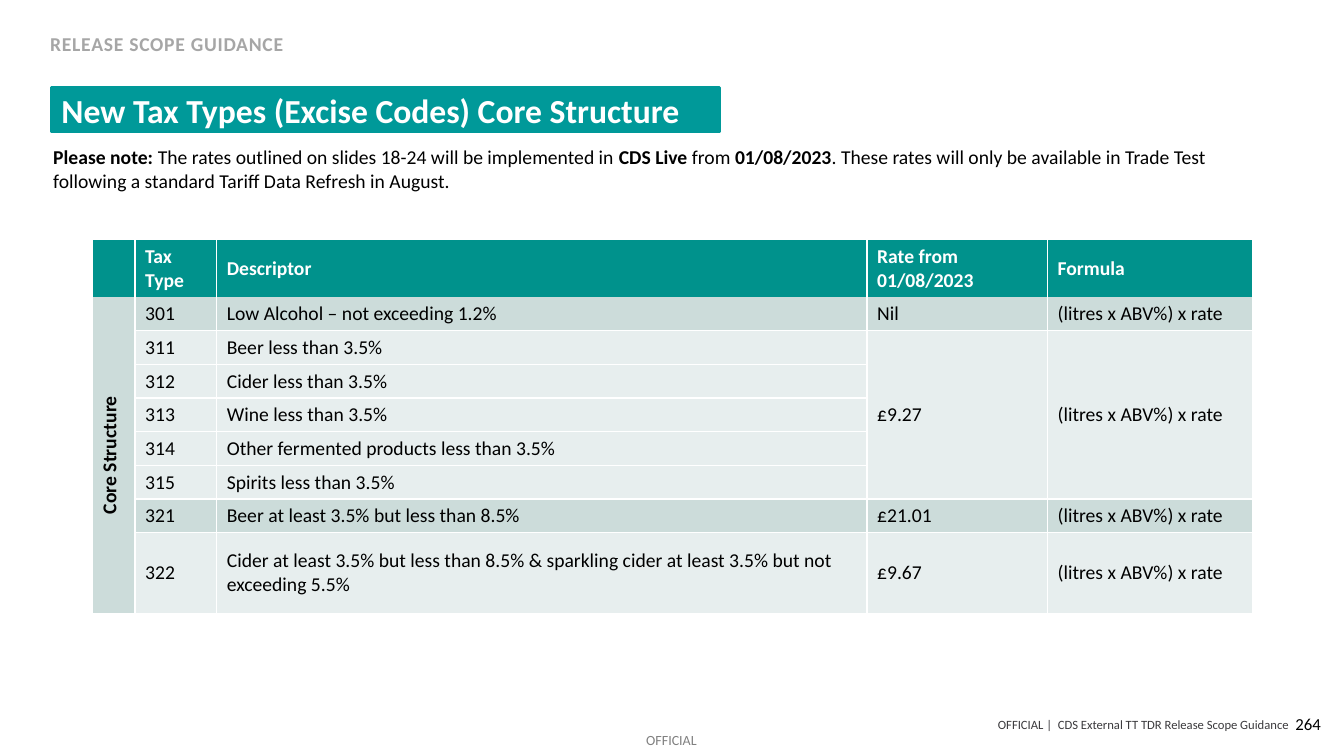
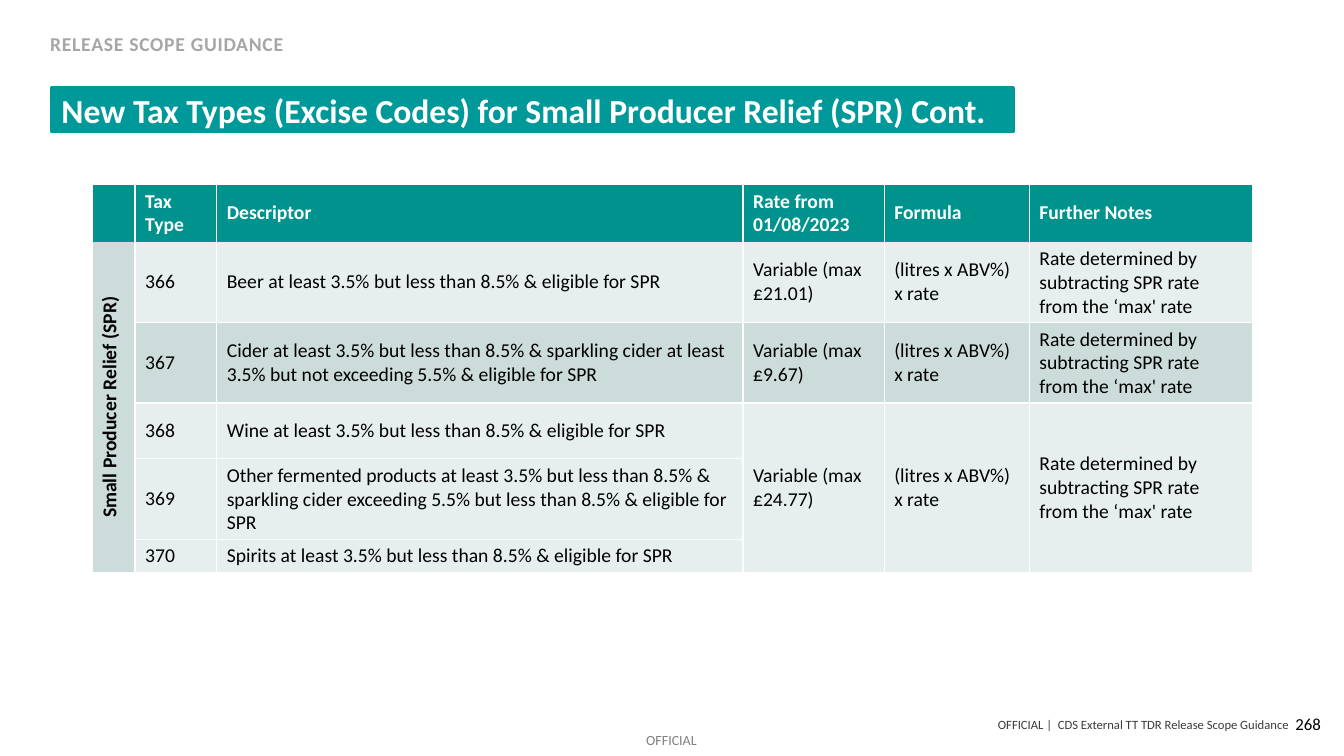
from dataclasses import dataclass
from typing import Optional

import lxml.etree
import pptx
import pptx.dml.color
import pptx.enum.text
import pptx.oxml.ns
import pptx.util

Inches = pptx.util.Inches
Pt = pptx.util.Pt
RGBColor = pptx.dml.color.RGBColor
Align = pptx.enum.text.PP_ALIGN
Anchor = pptx.enum.text.MSO_ANCHOR
qn = pptx.oxml.ns.qn

FONT = "Calibri"
WHITE = RGBColor(0xFF, 0xFF, 0xFF)
BLACK = RGBColor(0x00, 0x00, 0x00)
TITLE_TEAL = RGBColor(0x00, 0x99, 0x99)
HEADER_TEAL = RGBColor(0x00, 0x92, 0x8C)
DARK_ROW = RGBColor(0xCC, 0xDC, 0xDA)
LIGHT_ROW = RGBColor(0xE7, 0xEE, 0xEE)
KICKER_GREY = RGBColor(0xA6, 0xA6, 0xA6)
FOOTER_GREY = RGBColor(0x3B, 0x3A, 0x3D)
MARKING_GREY = RGBColor(0x80, 0x80, 0x80)

PLAIN_TABLE_STYLE = "{2D5ABB26-0587-4C30-8999-92F81FD0307C}"
TABLE_LEFT = 0.92
HEADER_HEIGHT = 0.56
FORMULA = "(litres x ABV%) x rate"
SPR_NOTE = "Rate determined by subtracting SPR rate from the ‘max' rate"


@dataclass(frozen=True)
class TaxRow:
    """A body row; a None cell continues the cell above it."""
    cells: tuple[Optional[str], ...]
    height: float = 0.33
    fill: RGBColor = LIGHT_ROW


@dataclass(frozen=True)
class TaxTable:
    top: float
    widths: tuple[float, ...]
    headings: tuple[str, ...]
    side_label: str
    rows: tuple[TaxRow, ...]


@dataclass(frozen=True)
class TaxPage:
    title: str
    title_width: float
    number: str
    table: TaxTable
    note: tuple[tuple[str, bool], ...] = ()


HEADINGS = ("Tax Type", "Descriptor", "Rate from 01/08/2023", "Formula")

PAGES = (
    TaxPage(
        "New Tax Types (Excise Codes) Core Structure", 6.63, "264",
        TaxTable(
            2.38, (0.42, 0.81, 6.45, 1.79, 2.03), HEADINGS, "Core Structure",
            (
                TaxRow(("301", "Low Alcohol – not exceeding 1.2%", "Nil", FORMULA), fill=DARK_ROW),
                TaxRow(("311", "Beer less than 3.5%", "£9.27", FORMULA)),
                TaxRow(("312", "Cider less than 3.5%", None, None)),
                TaxRow(("313", "Wine less than 3.5%", None, None)),
                TaxRow(("314", "Other fermented products less than 3.5%", None, None)),
                TaxRow(("315", "Spirits less than 3.5%", None, None)),
                TaxRow(("321", "Beer at least 3.5% but less than 8.5%", "£21.01", FORMULA),
                       fill=DARK_ROW),
                TaxRow(("322", "Cider at least 3.5% but less than 8.5% & sparkling cider at least "
                        "3.5% but not exceeding 5.5%", "£9.67", FORMULA), 0.8),
            ),
        ),
        note=(
            ("Please note: ", True),
            ("The rates outlined on slides 18-24 will be implemented in ", False),
            ("CDS Live ", True),
            ("from ", False),
            ("01/08/2023", True),
            (". These rates will only be available in Trade Test following a standard "
             "Tariff Data Refresh in August.", False),
        ),
    ),
    TaxPage(
        "New Tax Types (Excise Codes) for Small Producer Relief (SPR) Cont.", 9.54, "268",
        TaxTable(
            1.83, (0.42, 0.81, 5.22, 1.4, 1.44, 2.21), HEADINGS + ("Further Notes",),
            "Small Producer Relief (SPR)",
            (
                TaxRow(("366", "Beer at least 3.5% but less than 8.5% & eligible for SPR",
                        "Variable (max £21.01)", FORMULA, SPR_NOTE), 0.8),
                TaxRow(("367", "Cider at least 3.5% but less than 8.5% & sparkling cider at least "
                        "3.5% but not exceeding 5.5% & eligible for SPR",
                        "Variable (max £9.67)", FORMULA, SPR_NOTE), 0.8, DARK_ROW),
                TaxRow(("368", "Wine at least 3.5% but less than 8.5% & eligible for SPR",
                        "Variable (max £24.77)", FORMULA, SPR_NOTE), 0.55),
                TaxRow(("369", "Other fermented products at least 3.5% but less than 8.5% & "
                        "sparkling cider exceeding 5.5% but less than 8.5% & eligible for SPR",
                        None, None, None), 0.8),
                TaxRow(("370", "Spirits at least 3.5% but less than 8.5% & eligible for SPR",
                        None, None, None)),
            ),
        ),
    ),
)


def write_span(para, text: str, *, size: float = 14, color: RGBColor = BLACK,
               bold: bool = False, spacing: float = 0) -> None:
    span = para.add_run()
    span.text = text
    span.font.name = FONT
    span.font.size = Pt(size)
    span.font.bold = bold
    span.font.color.rgb = color
    if spacing:
        span.font._element.set("spc", str(round(spacing * 100)))


def add_text(page, left: float, top: float, width: float, height: float, text: str = "", *,
             align=Align.LEFT, anchor=Anchor.TOP, inset: bool = True, **style):
    """Add a one-paragraph text box and return its paragraph."""
    box = page.shapes.add_textbox(Inches(left), Inches(top), Inches(width), Inches(height))
    frame = box.text_frame
    frame.word_wrap = True
    frame.vertical_anchor = anchor
    if not inset:
        frame.margin_left = frame.margin_right = frame.margin_top = frame.margin_bottom = 0
    para = frame.paragraphs[0]
    para.alignment = align
    if text:
        write_span(para, text, **style)
    return para


def add_title(page, text: str, width: float) -> None:
    title = page.shapes.title
    title.left, title.top = Inches(0.51), Inches(0.87)
    title.width, title.height = Inches(width), Inches(0.44)
    title.fill.solid()
    title.fill.fore_color.rgb = TITLE_TEAL
    title.line.color.rgb = TITLE_TEAL
    title.line.width = Pt(2)
    frame = title.text_frame
    frame.auto_size = pptx.enum.text.MSO_AUTO_SIZE.NONE
    frame.vertical_anchor = Anchor.MIDDLE
    para = frame.paragraphs[0]
    para.alignment = Align.LEFT
    write_span(para, text, size=24, color=WHITE, bold=True)


def add_page_frame(page, number: str) -> None:
    """Draw the section label and footers that every page carries."""
    add_text(page, 0.4, 0.27, 3, 0.34, "RELEASE SCOPE GUIDANCE",
             color=KICKER_GREY, bold=True, spacing=0.5)
    add_text(page, 3.22, 7.11, 9.56, 0.16, "OFFICIAL |  CDS External TT TDR Release Scope Guidance",
             align=Align.RIGHT, anchor=Anchor.MIDDLE, inset=False, size=9, color=FOOTER_GREY)
    add_text(page, 6.41, 7.26, 0.6, 0.17, "OFFICIAL", inset=False, size=10, color=MARKING_GREY)
    add_text(page, 10.2, 6.98, 3, 0.4, number, align=Align.RIGHT, anchor=Anchor.MIDDLE, size=12)


def style_cell(cell, fill: RGBColor, sides: str) -> None:
    """Give a cell white edges on the named sides, then its fill."""
    properties = cell._tc.get_or_add_tcPr()
    for side in sides:
        edge = lxml.etree.SubElement(properties, qn(f"a:ln{side}"), w=str(Pt(1)))
        paint = lxml.etree.SubElement(edge, qn("a:solidFill"))
        lxml.etree.SubElement(paint, qn("a:srgbClr"), val=str(WHITE))
    cell.fill.solid()
    cell.fill.fore_color.rgb = fill
    cell.vertical_anchor = Anchor.MIDDLE


def add_tax_table(page, data: TaxTable) -> None:
    heights = [HEADER_HEIGHT] + [row.height for row in data.rows]
    frame = page.shapes.add_table(len(heights), len(data.widths), Inches(TABLE_LEFT),
                                  Inches(data.top), Inches(sum(data.widths)), Inches(sum(heights)))
    table = frame.table
    table.first_row = table.horz_banding = False
    table._tbl.tblPr.find(qn("a:tableStyleId")).text = PLAIN_TABLE_STYLE
    for column, width in zip(table.columns, data.widths):
        column.width = Inches(width)
    for row, height in zip(table.rows, heights):
        row.height = Inches(height)

    # Header row
    for column, heading in enumerate(("",) + data.headings):
        cell = table.cell(0, column)
        style_cell(cell, HEADER_TEAL, "LRT")
        if heading:
            write_span(cell.text_frame.paragraphs[0], heading, color=WHITE, bold=True)

    # Body rows
    last = len(data.rows)
    for index, row in enumerate(data.rows, start=1):
        sides = "LRB" if index == 1 else "LRTB"
        style_cell(table.cell(index, 0), DARK_ROW, "LRB")
        for column, text in enumerate(row.cells, start=1):
            cell = table.cell(index, column)
            style_cell(cell, row.fill, sides)
            if text is not None:
                write_span(cell.text_frame.paragraphs[0], text)
                end = index
                while end < last and data.rows[end].cells[column - 1] is None:
                    end += 1
                if end > index:
                    cell.merge(table.cell(end, column))

    # Upright label beside all body rows
    label = table.cell(1, 0)
    label.merge(table.cell(last, 0))
    label._tc.get_or_add_tcPr().set("vert", "vert270")
    para = label.text_frame.paragraphs[0]
    para.alignment = Align.CENTER
    write_span(para, data.side_label, bold=True)


def main() -> None:
    deck = pptx.Presentation()
    deck.slide_width, deck.slide_height = Inches(13.33), Inches(7.5)
    for content in PAGES:
        page = deck.slides.add_slide(deck.slide_layouts[5])
        add_title(page, content.title, content.title_width)
        add_page_frame(page, content.number)
        if content.note:
            para = add_text(page, 0.43, 1.39, 12.1, 0.57)
            for text, bold in content.note:
                write_span(para, text, bold=bold)
        add_tax_table(page, content.table)
    deck.save("out.pptx")


if __name__ == "__main__":
    main()
